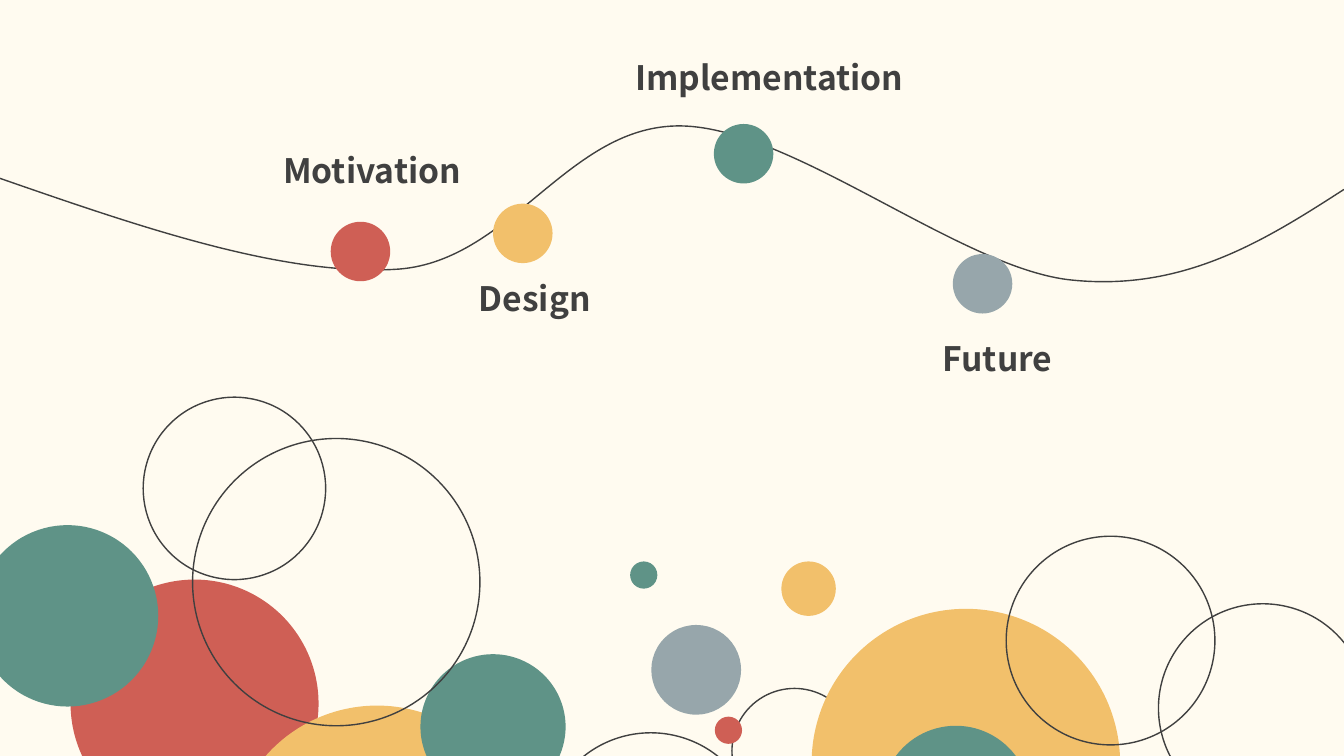
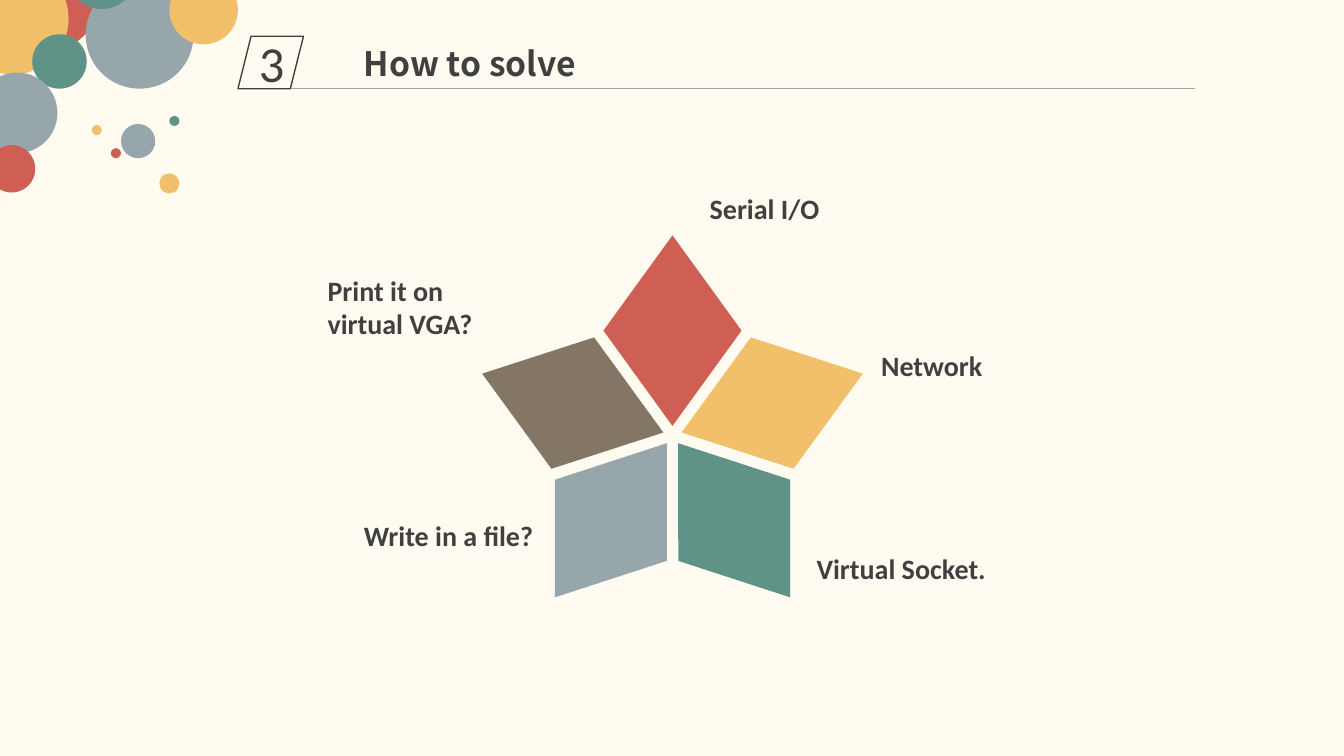
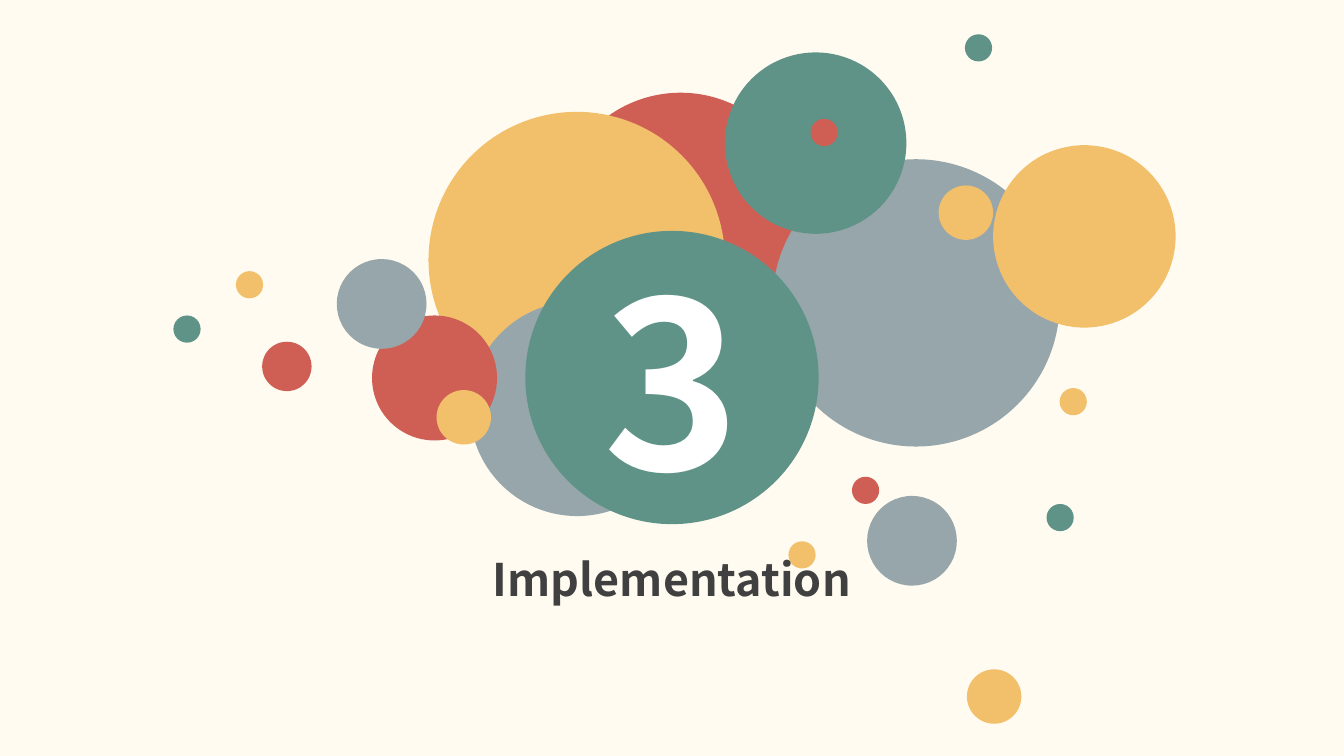
from dataclasses import dataclass
from math import cos, radians, sin
from typing import NamedTuple, Optional

from lxml import etree
from pptx import Presentation
from pptx.dml.color import RGBColor
from pptx.enum.shapes import MSO_CONNECTOR, MSO_SHAPE
from pptx.enum.text import MSO_ANCHOR, MSO_AUTO_SIZE, PP_ALIGN
from pptx.oxml.ns import qn
from pptx.util import Inches, Pt

ELLIPSE, DIAMOND, PARALLELOGRAM = MSO_SHAPE.OVAL, MSO_SHAPE.DIAMOND, MSO_SHAPE.PARALLELOGRAM
STRAIGHT = MSO_CONNECTOR.STRAIGHT
LEFT, CENTER = PP_ALIGN.LEFT, PP_ALIGN.CENTER
TOP, MIDDLE = MSO_ANCHOR.TOP, MSO_ANCHOR.MIDDLE
GROW = MSO_AUTO_SIZE.SHAPE_TO_FIT_TEXT
TITLE_ONLY, BLANK = 5, 6


@dataclass(frozen=True)
class Theme:
    paper: RGBColor = RGBColor.from_string("FFFBF0")
    ink: RGBColor = RGBColor.from_string("404040")
    rule: RGBColor = RGBColor.from_string("A6A6A6")
    white: RGBColor = RGBColor.from_string("FFFFFF")
    red: RGBColor = RGBColor.from_string("CF5F55")
    yellow: RGBColor = RGBColor.from_string("F2C06B")
    green: RGBColor = RGBColor.from_string("5F9387")
    gray: RGBColor = RGBColor.from_string("97A6AB")
    brown: RGBColor = RGBColor.from_string("837664")
    heading_font: str = "Noto Sans CJK SC"
    body_font: str = "Calibri"
    label_size: int = 20
    heading_size: int = 24
    section_size: int = 32
    badge_size: int = 36
    number_size: int = 166
    outline: float = 1
    hairline: float = 0.5


THEME = Theme()
RED, YELLOW, GREEN, GRAY = THEME.red, THEME.yellow, THEME.green, THEME.gray


class Box(NamedTuple):
    left: float
    top: float
    width: float
    height: float


class Circle(NamedTuple):
    left: float
    top: float
    size: float
    color: Optional[RGBColor] = None  # None draws an outline only


class Milestone(NamedTuple):
    text: str
    dot: Circle
    label: Box


class Petal(NamedTuple):
    text: str
    color: RGBColor
    label: Box


# Slide 1: circles along the bottom, and milestones on a curve
BUBBLES = [
    Circle(0.7, 5.75, 2.46, RED), Circle(2.27, 7, 2.94, YELLOW),
    Circle(4.17, 6.49, 1.44, GREEN), Circle(5.39, 7.27, 2.13),
    Circle(1.91, 4.35, 2.85), Circle(-0.23, 5.21, 1.8, GREEN),
    Circle(7.26, 6.83, 1.24), Circle(8.05, 6.04, 3.06, YELLOW),
    Circle(8.74, 7.2, 1.48, GREEN), Circle(9.98, 5.32, 2.07),
    Circle(11.49, 5.99, 2.07), Circle(6.46, 6.2, 0.89, GRAY),
    Circle(7.09, 7.11, 0.27, RED), Circle(6.25, 5.57, 0.27, GREEN),
    Circle(7.75, 5.57, 0.54, YELLOW), Circle(1.42, 3.94, 1.81),
]
# Start point, then two control points and an end point per segment
CURVE = [
    (0, 1.77), (1.41, 2.26), (2.83, 2.75), (3.96, 2.67),
    (5.08, 2.58), (5.64, 1.23), (6.76, 1.25),
    (7.87, 1.27), (9.55, 2.68), (10.64, 2.78),
    (11.74, 2.89), (12.54, 2.39), (13.33, 1.88),
]
DOT = 0.59
MILESTONES = [
    Milestone("Motivation", Circle(3.28, 2.2, DOT, RED), Box(2.71, 1.44, 3.11, 0.5)),
    Milestone("Design", Circle(4.89, 2.02, DOT, YELLOW), Box(4.65, 2.71, 3.11, 0.5)),
    Milestone("Implementation", Circle(7.08, 1.23, DOT, GREEN), Box(6.2, 0.52, 3.11, 0.5)),
    Milestone("Future", Circle(9.45, 2.52, DOT, GRAY), Box(9.25, 3.3, 3.11, 0.5)),
]

# Slide 2: corner circles, and petals clockwise from the top
CORNER = [
    Circle(0.04, -0.44, 0.93, RED), Circle(-0.43, -0.37, 1.11, YELLOW),
    Circle(0.32, 0.34, 0.54, GREEN), Circle(-0.23, 0.72, 0.8, GRAY),
    Circle(0.85, -0.19, 1.07, GRAY), Circle(0.67, -0.59, 0.68, GREEN),
    Circle(-0.12, 1.44, 0.47, RED), Circle(1.2, 1.23, 0.34, GRAY),
    Circle(1.1, 1.47, 0.1, RED), Circle(0.91, 1.24, 0.1, YELLOW),
    Circle(1.68, 1.15, 0.1, GREEN), Circle(1.58, 1.72, 0.2, YELLOW),
    Circle(1.68, -0.24, 0.68, YELLOW),
]
PETALS = [
    Petal("Serial I/O", RED, Box(6.94, 1.85, 2.12, 0.44)),
    Petal("Network", YELLOW, Box(8.64, 3.41, 2.12, 0.44)),
    Petal("Virtual Socket.", GREEN, Box(8, 5.42, 2.12, 0.44)),
    Petal("Write in a file?", GRAY, Box(3.51, 5.09, 2.12, 0.44)),
    Petal("Print it on virtual VGA?", THEME.brown, Box(3.15, 2.66, 2.12, 0.77)),
]
STAR_X, STAR_Y, STAR_RADIUS = 6.67, 4.32, 1.04
PETAL_WIDTH, PETAL_HEIGHT = 1.37, 1.89

# Slide 3: circles around the section number
CLUSTER = [
    Circle(5.52, 0.92, 2.46, RED), Circle(4.25, 1.11, 2.94, YELLOW),
    Circle(4.66, 2.99, 2.13, GRAY), Circle(7.66, 1.58, 2.85, GRAY),
    Circle(7.19, 0.52, 1.8, GREEN), Circle(3.69, 3.13, 1.24, RED),
    Circle(8.6, 4.92, 0.89, GRAY), Circle(8.45, 4.73, 0.27, RED),
    Circle(7.82, 5.37, 0.27, YELLOW), Circle(10.38, 5, 0.27, GREEN),
    Circle(9.59, 6.64, 0.54, YELLOW), Circle(9.85, 1.44, 1.81, YELLOW),
    Circle(3.34, 2.57, 0.89, GRAY), Circle(2.6, 3.39, 0.49, RED),
    Circle(2.34, 2.69, 0.27, YELLOW), Circle(1.72, 3.13, 0.27, GREEN),
    Circle(4.33, 3.87, 0.54, YELLOW), Circle(8.04, 1.18, 0.27, RED),
    Circle(10.51, 3.85, 0.27, YELLOW), Circle(9.57, 0.34, 0.27, GREEN),
    Circle(9.31, 1.84, 0.54, YELLOW),
]
NUMBER_CIRCLE = Circle(5.21, 2.29, 2.91, GREEN)


# Drawing helpers
def write(shape, text: str, *, size: float, font: str = THEME.heading_font,
          color: RGBColor = THEME.ink, bold: bool = True, align=LEFT, anchor=TOP) -> None:
    frame = shape.text_frame
    frame.word_wrap = True
    frame.vertical_anchor = anchor
    para = frame.paragraphs[0]
    para.alignment = align
    span = para.add_run()
    span.text = text
    span.font.name = font
    span.font.size = Pt(size)
    span.font.bold = bold
    span.font.color.rgb = color


def paint(shape, color: Optional[RGBColor]) -> None:
    """Fill the shape, or give it only an outline when there is no colour."""
    shape.shadow.inherit = False
    if color is None:
        shape.fill.background()
        shape.line.color.rgb = THEME.ink
        shape.line.width = Pt(THEME.outline)
    else:
        shape.fill.solid()
        shape.fill.fore_color.rgb = color
        shape.line.fill.background()


def add_figure(shapes, preset, box: Box, color: Optional[RGBColor] = None):
    shape = shapes.add_shape(preset, *map(Inches, box))
    paint(shape, color)
    return shape


def add_circle(shapes, circle: Circle):
    box = Box(circle.left, circle.top, circle.size, circle.size)
    return add_figure(shapes, ELLIPSE, box, circle.color)


def add_label(page, text: str, box: Box, **style) -> None:
    label = page.shapes.add_textbox(*map(Inches, box))
    write(label, text, **style)
    label.text_frame.auto_size = GROW


def place_title(page, text: str, box: Box, **style) -> None:
    """Place the title in front of everything drawn so far."""
    title = page.shapes.title
    title.left, title.top, title.width, title.height = map(Inches, box)
    write(title, text, **style)
    title.text_frame.auto_size = GROW
    title.element.getparent().append(title.element)


def add_curve(page, points: list) -> None:
    start, *rest = [(Inches(x), Inches(y)) for x, y in points]
    builder = page.shapes.build_freeform(*start)
    builder.add_line_segments(rest, close=False)
    curve = builder.convert_to_shape()
    paint(curve, None)
    # Join every three straight segments into one Bezier segment
    segments = list(curve.element.iter(qn("a:lnTo")))
    for index in range(0, len(segments), 3):
        bezier = etree.Element(qn("a:cubicBezTo"))
        segments[index].addprevious(bezier)
        for segment in segments[index:index + 3]:
            bezier.append(segment[0])
            segment.getparent().remove(segment)


def add_rule(page, left: float, right: float, height: float) -> None:
    rule = page.shapes.add_connector(
        STRAIGHT, Inches(left), Inches(height), Inches(right), Inches(height))
    rule.line.color.rgb = THEME.rule
    rule.line.width = Pt(THEME.hairline)
    etree.SubElement(rule.element.spPr, qn("a:effectLst"))


# Slides
def build_roadmap(deck) -> None:
    page = deck.slides.add_slide(deck.slide_layouts[BLANK])
    for bubble in BUBBLES:
        add_circle(page.shapes, bubble)
    add_curve(page, CURVE)
    for milestone in MILESTONES:
        add_circle(page.shapes, milestone.dot)
        add_label(page, milestone.text, milestone.label, size=THEME.heading_size)


def build_solutions(deck) -> None:
    page = deck.slides.add_slide(deck.slide_layouts[TITLE_ONLY])
    # Star of petals
    for index, petal in enumerate(PETALS):
        angle = index * 360 / len(PETALS)
        box = Box(STAR_X + STAR_RADIUS * sin(radians(angle)) - PETAL_WIDTH / 2,
                  STAR_Y - STAR_RADIUS * cos(radians(angle)) - PETAL_HEIGHT / 2,
                  PETAL_WIDTH, PETAL_HEIGHT)
        add_figure(page.shapes, DIAMOND, box, petal.color).rotation = angle
        add_label(page, petal.text, petal.label,
                  size=THEME.label_size, font=THEME.body_font)
    # Header
    corner = page.shapes.add_group_shape()
    for circle in CORNER:
        add_circle(corner.shapes, circle)
    add_rule(page, 2.84, 11.85, 0.88)
    badge = add_figure(page.shapes, PARALLELOGRAM, Box(2.36, 0.36, 0.65, 0.52))
    write(badge, "3", size=THEME.badge_size, font=THEME.body_font, bold=False,
          align=CENTER, anchor=MIDDLE)
    place_title(page, "How to solve", Box(3.51, 0.38, 5.13, 0.5), size=THEME.heading_size)


def build_section(deck) -> None:
    page = deck.slides.add_slide(deck.slide_layouts[TITLE_ONLY])
    for circle in CLUSTER:
        add_circle(page.shapes, circle)
    number = add_circle(page.shapes, NUMBER_CIRCLE)
    write(number, "3", size=THEME.number_size, color=THEME.white,
          align=CENTER, anchor=MIDDLE)
    place_title(page, "Implementation", Box(3.65, 5.42, 6.03, 0.64),
                size=THEME.section_size, align=CENTER)


def main() -> None:
    deck = Presentation()
    deck.slide_width, deck.slide_height = Inches(13.33), Inches(7.5)
    background = deck.slide_master.background.fill
    background.solid()
    background.fore_color.rgb = THEME.paper
    build_roadmap(deck)
    build_solutions(deck)
    build_section(deck)
    deck.save("out.pptx")


if __name__ == "__main__":
    main()
